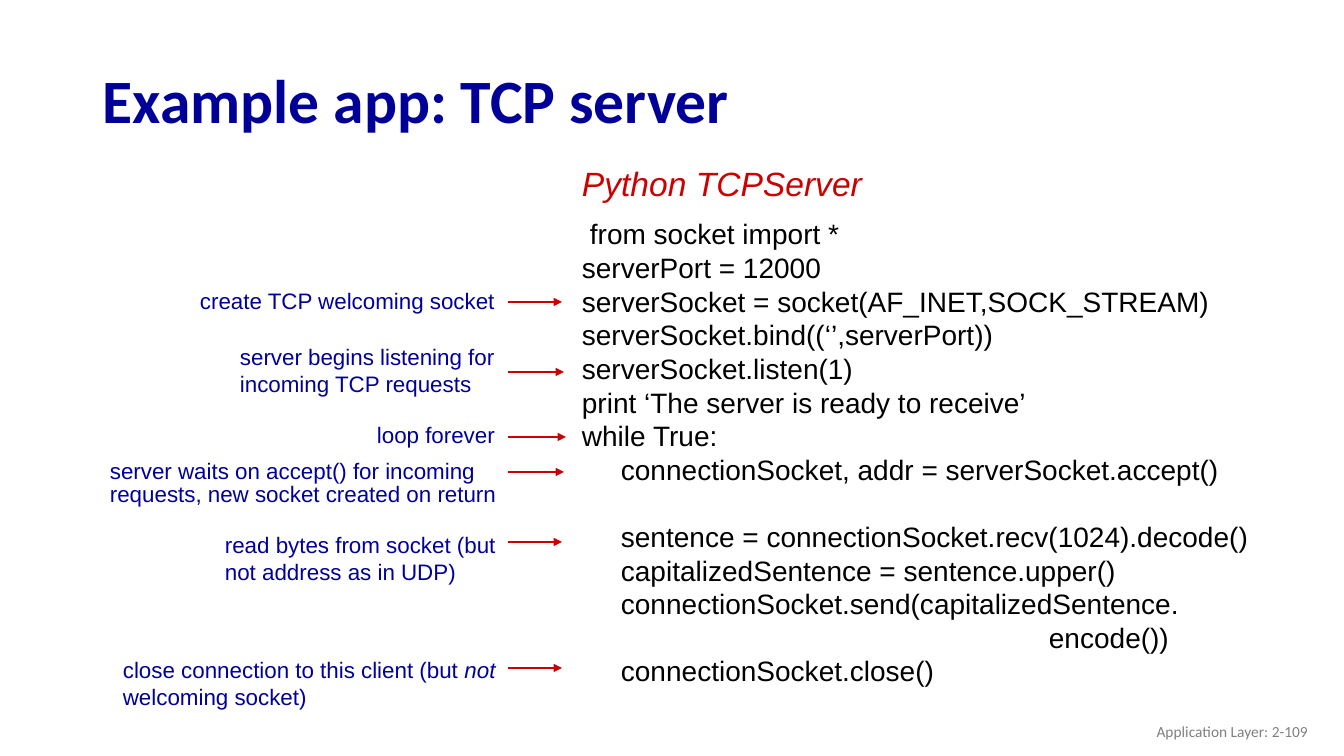
from pptx import Presentation
from pptx.dml.color import RGBColor
from pptx.enum.shapes import MSO_CONNECTOR
from pptx.enum.text import MSO_ANCHOR, PP_ALIGN
from pptx.oxml.ns import qn
from pptx.util import Pt
from lxml.etree import SubElement

PX = 12192000 / 1344
SLIDE_SIZE = (1344, 756)
COLORS = {"navy": "000099", "red": "CC0000", "black": "000000", "gray": "808080"}

TITLE = "Example app: TCP server"
CODE_HEADING = "Python TCPServer"
FOOTER = "Application Layer: 2-109"

FIRST, BODY, CONTINUED = 8, 39, 467
CODE_LINES = [
    (FIRST, 0, "from socket import *"),
    (0, 0, "serverPort = 12000"),
    (0, 0, "serverSocket = socket(AF_INET,SOCK_STREAM)"),
    (0, 0, "serverSocket.bind((‘’,serverPort))"),
    (0, 0, "serverSocket.listen(1)"),
    (0, 0, "print ‘The server is ready to receive’"),
    (0, 0, "while True:"),
    (BODY, 0, "connectionSocket, addr = serverSocket.accept()"),
    (BODY, 24, "sentence = connectionSocket.recv(1024).decode()"),
    (BODY, 0, "capitalizedSentence = sentence.upper()"),
    (BODY, 0, "connectionSocket.send(capitalizedSentence."),
    (CONTINUED, 0, "encode())"),
    (BODY, 0, "connectionSocket.close()"),
]

ARROW_LEFT = 508
NOTES = [
    ("create TCP welcoming socket", (190, 282, 338, 37), None, (562, 302)),
    ("server begins listening for incoming TCP requests", (230, 338, 316, 64), None, (564, 372)),
    ("loop forever", (367, 421, 205, 33), 16, (566, 437)),
    ("server waits on accept() for incoming requests, new socket created on return",
     (100, 457, 471, 55), 16, (564, 472)),
    ("read bytes from socket (but not address as in UDP)", (215, 526, 302, 64), None, (562, 542)),
    ("close connection to this client (but *not* welcoming socket)",
     (113, 651, 430, 64), None, (562, 668)),
]


def px(value):
    return round(value * PX)


def rgb(name):
    return RGBColor.from_string(COLORS[name])


def add_text(slide, lines, box, size, color, font="Arial", bold=False, italic=False,
             align=PP_ALIGN.LEFT, anchor=MSO_ANCHOR.TOP, spacing=None):
    frame = slide.shapes.add_textbox(*map(px, box)).text_frame
    frame.word_wrap = True
    frame.vertical_anchor = anchor
    if isinstance(lines, str):
        lines = [(0, 0, lines)]
    for number, (indent, gap, text) in enumerate(lines):
        paragraph = frame.add_paragraph() if number else frame.paragraphs[0]
        paragraph.alignment = align
        if spacing:
            paragraph.line_spacing = Pt(spacing)
        if gap:
            paragraph.space_before = Pt(gap)
        if indent:
            paragraph._p.get_or_add_pPr().set("marL", str(px(indent)))
        pieces = text.split("*") if text.count("*") == 2 else [text]
        for position, piece in enumerate(pieces):
            run = paragraph.add_run()
            run.text = piece
            run.font.name = font
            run.font.size = Pt(size)
            run.font.bold = bold
            run.font.italic = italic or position == 1
            run.font.color.rgb = rgb(color)


def add_arrow(slide, left, right, y):
    arrow = slide.shapes.add_connector(
        MSO_CONNECTOR.STRAIGHT, px(left), px(y), px(right), px(y))
    arrow.line.color.rgb = rgb("red")
    arrow.line.width = Pt(1)
    SubElement(arrow.line._get_or_add_ln(), qn("a:tailEnd"), type="triangle")
    SubElement(arrow._element.spPr, qn("a:effectLst"))


def main():
    deck = Presentation()
    deck.slide_width, deck.slide_height = map(px, SLIDE_SIZE)
    slide = deck.slides.add_slide(deck.slide_layouts[6])

    add_text(slide, TITLE, (93, 49, 1159, 99), 44, "navy", font="Calibri", bold=True,
             anchor=MSO_ANCHOR.MIDDLE)
    add_text(slide, CODE_LINES, (572, 212, 693, 574), 20, "black")
    add_text(slide, CODE_HEADING, (572, 158, 311, 51), 24, "red", italic=True)
    for note, box, spacing, (arrow_right, arrow_y) in NOTES:
        add_text(slide, note, box, 16, "navy", spacing=spacing)
        add_arrow(slide, ARROW_LEFT, arrow_right, arrow_y)
    add_text(slide, FOOTER, (1016, 711, 302, 40), 11, "gray", font="Calibri",
             align=PP_ALIGN.RIGHT, anchor=MSO_ANCHOR.MIDDLE)

    deck.save("out.pptx")


if __name__ == "__main__":
    main()
